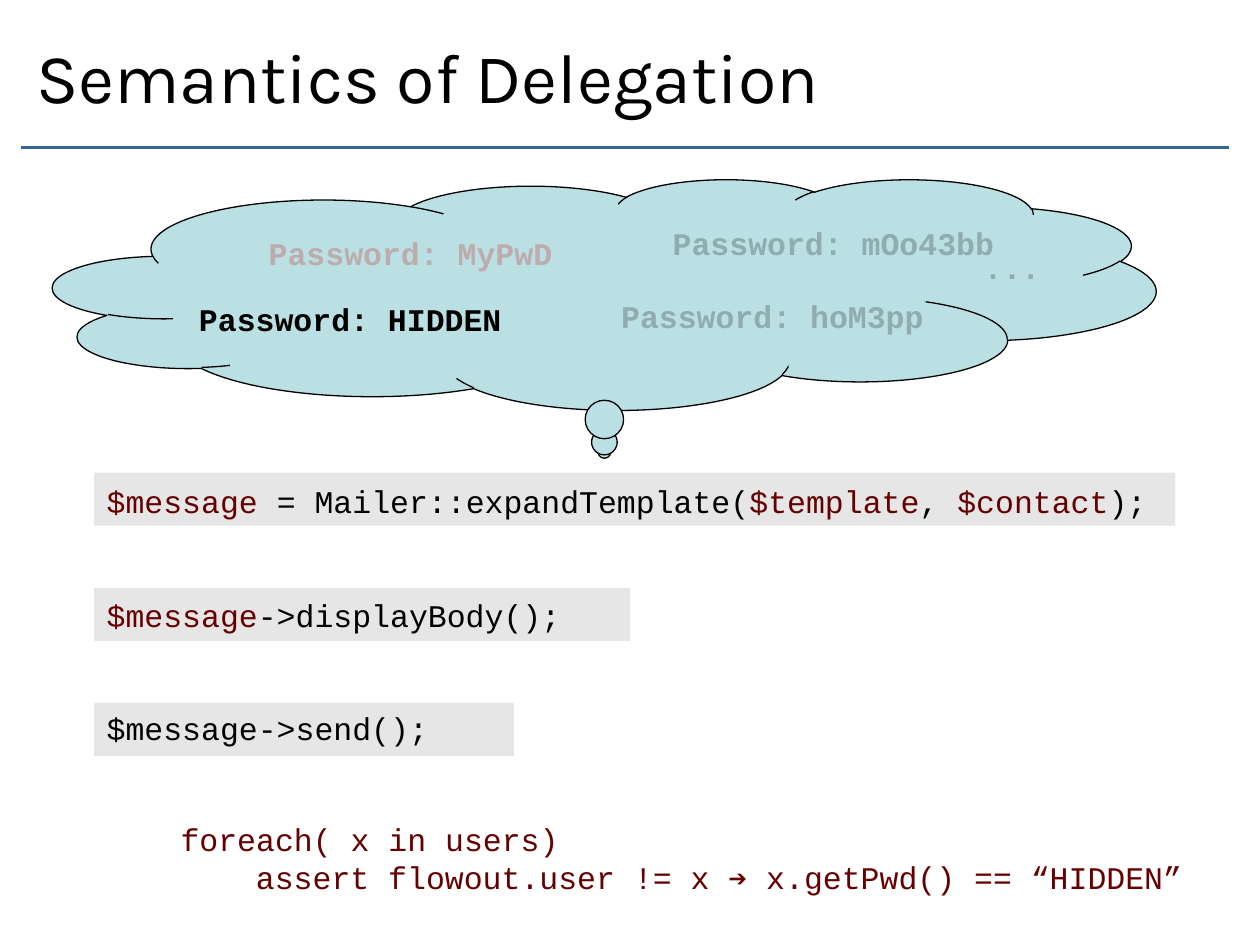
from pptx import Presentation, util as u
from pptx.dml.color import RGBColor
from pptx.enum import shapes as sh, text as tx
from pptx.oxml.ns import qn
from lxml import etree

THEME = dict(
    ink="000000", code="660000", leak="C00000", rule="336699",
    bar="E6E6E6", cloud="BBE0E3", head="Karla", mono="Courier New",
    big=40, body=18, lead=21.6,
)

TITLE = "Semantics of Delegation"

# Each statement: bar width in cm, then (text, colour) runs
CODE = [
    (21.79, [("$message ", "code"), ("= Mailer::expandTemplate(", "ink"),
             ("$template", "code"), (", ", "ink"),
             ("$contact", "code"), (");", "ink")]),
    (10.8, [("$message", "code"), ("->displayBody();", "ink")]),
    (8.46, [("$message->send();", "ink")]),
]

# Text, colour, alignment, box in cm
THOUGHTS = [
    ("Password: mOo43bb", "ink", "CENTER", (12.01, 4.39, 9.58, 1.12)),
    ("Password: hoM3pp", "ink", "CENTER", (11.05, 5.87, 9.04, 1.12)),
    ("Password: HIDDEN", "ink", "CENTER", (2.54, 5.92, 9.04, 1.12)),
    ("Password: MyPwD", "leak", "CENTER", (4.01, 4.6, 8.53, 1.12)),
    ("...", "ink", "LEFT", (19.58, 4.88, 2.01, 1.02)),
]

# Text, indent in cm
POLICY = [
    ("foreach( x in users)", 0),
    ("assert flowout.user != x ➔ x.getPwd() == “HIDDEN”", 1.52),
]

VEILS = [(4.65, 4.45, 16.71, 1.47), (11.68, 5.92, 6.99, 1.47)]
CLOUD = (1.07, 3.61, 22.23, 4.65)
LEFT, TOP, STEP, TALL = 1.9, 9.53, 2.32, 1.07


def tint(name):
    return RGBColor.from_string(THEME[name])


def place(box):
    return [u.Cm(v) for v in box]


def shape(kind, box, fill):
    item = slide.shapes.add_shape(kind, *place(box))
    item.shadow.inherit = False
    item.fill.solid()
    item.fill.fore_color.rgb = tint(fill)
    item.line.fill.background()
    return item


def frame(box):
    area = slide.shapes.add_textbox(*place(box)).text_frame
    area.word_wrap = True
    return area


def write(para, runs, bold=False):
    """Fill a paragraph with (text, colour) runs in the code face."""
    para.font.name = THEME["mono"]
    para.font.size = u.Pt(THEME["body"])
    para.font.bold = bold
    para.line_spacing = u.Pt(THEME["lead"])
    for words, hue in runs:
        run = para.add_run()
        run.text = words
        run.font.color.rgb = tint(hue)


def lines(area, count):
    return [area.paragraphs[0]] + [area.add_paragraph() for _ in range(count - 1)]


deck = Presentation()
deck.slide_width, deck.slide_height = u.Cm(25.4), u.Cm(19.05)
slide = deck.slides.add_slide(deck.slide_layouts[6])

rule = slide.shapes.add_connector(
    sh.MSO_CONNECTOR.STRAIGHT, *place((0.43, 2.97, 24.77, 2.97)))
rule.line.color.rgb = tint("rule")
rule.line.width = u.Pt(2)
etree.SubElement(rule._element.spPr, qn("a:effectLst"))

for row, (wide, _) in enumerate(CODE):
    shape(sh.MSO_SHAPE.RECTANGLE, (LEFT, TOP + row * STEP, wide, TALL), "bar")

paras = lines(frame((LEFT, 9.6, 21.56, 5.64)), len(CODE))
for row, (para, (_, runs)) in enumerate(zip(paras, CODE)):
    write(para, runs)
    if row:
        para.space_before = u.Pt(2 * THEME["lead"])

head = frame((0.48, 0, 22.86, 3.05))
head.vertical_anchor = tx.MSO_ANCHOR.MIDDLE
head.text = TITLE
font = head.paragraphs[0].font
font.name, font.size = THEME["head"], u.Pt(THEME["big"])
font.color.rgb = tint("ink")

cloud = shape(sh.MSO_SHAPE.CLOUD_CALLOUT, CLOUD, "cloud")
cloud.adjustments[0], cloud.adjustments[1] = 0, 0.683
cloud.line.color.rgb = tint("ink")
cloud.line.width = u.Pt(0.75)

for words, hue, align, box in THOUGHTS:
    para = frame(box).paragraphs[0]
    write(para, [(words, hue)], bold=True)
    para.alignment = tx.PP_ALIGN[align]

paras = lines(frame((3.39, 16.41, 21.56, 1.8)), len(POLICY))
for para, (words, indent) in zip(paras, POLICY):
    write(para, [(words, "code")])
    para._p.get_or_add_pPr().set("marL", str(u.Cm(indent)))

for box in VEILS:
    veil = shape(sh.MSO_SHAPE.RECTANGLE, box, "cloud")
    hue = veil._element.spPr.find(qn("a:solidFill"))[0]
    etree.SubElement(hue, qn("a:alpha"), val="77000")

deck.save("out.pptx")
